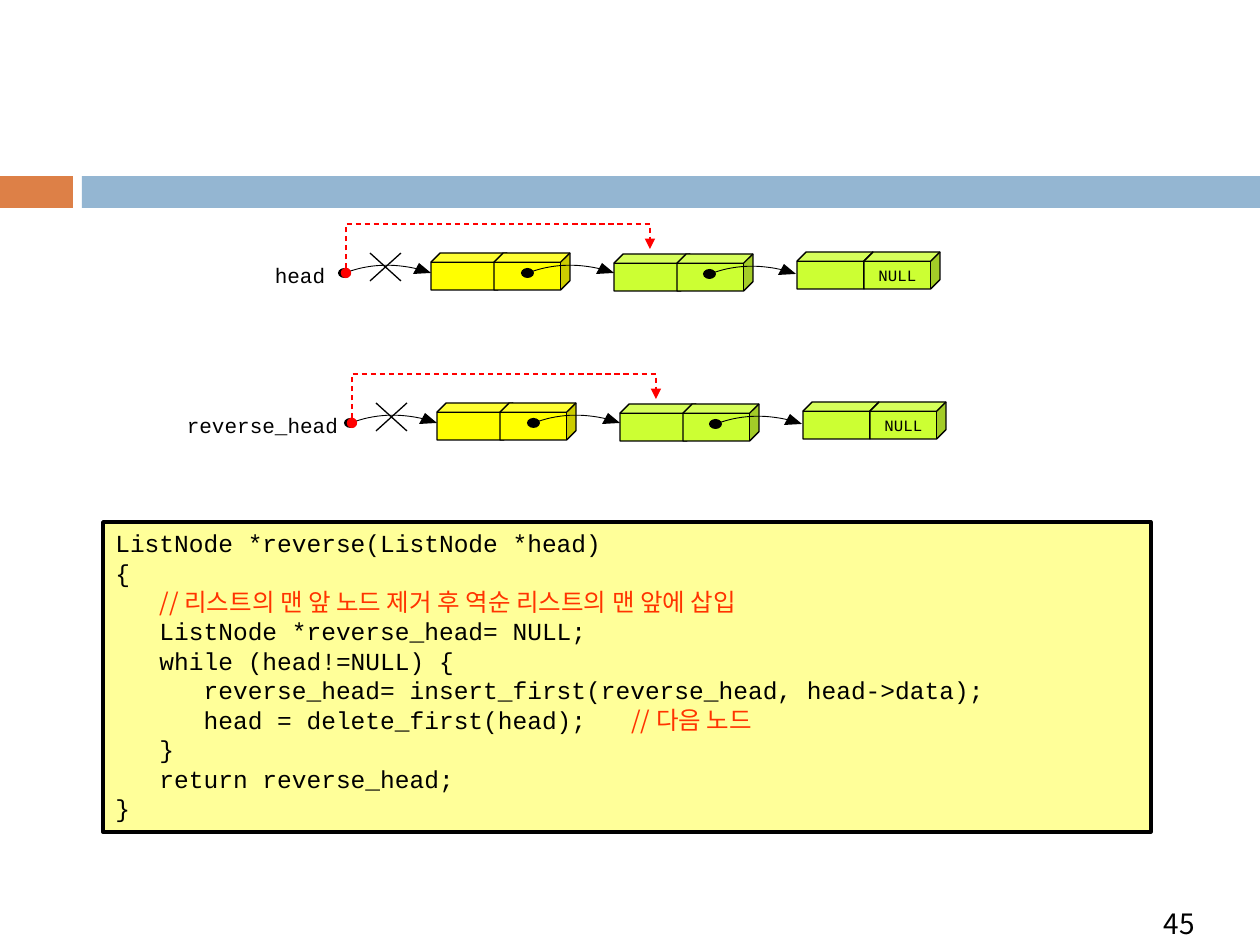
from dataclasses import dataclass

from lxml import etree
from pptx import Presentation
from pptx.dml.color import RGBColor
from pptx.enum.dml import MSO_LINE
from pptx.enum.shapes import MSO_CONNECTOR, MSO_SHAPE
from pptx.enum.text import MSO_ANCHOR, PP_ALIGN
from pptx.oxml.ns import qn
from pptx.util import Emu, Pt

RECT, CUBE, OVAL = MSO_SHAPE.RECTANGLE, MSO_SHAPE.CUBE, MSO_SHAPE.OVAL
STRAIGHT, DASH = MSO_CONNECTOR.STRAIGHT, MSO_LINE.DASH
TOP, MIDDLE = MSO_ANCHOR.TOP, MSO_ANCHOR.MIDDLE
LEFT, CENTER, RIGHT = PP_ALIGN.LEFT, PP_ALIGN.CENTER, PP_ALIGN.RIGHT

PX = 914400 / 126
MONO, SANS = "Courier New", "Noto Sans CJK KR"
COLORS = {
    "black": "000000", "orange": "DD8047", "blue": "94B6D2", "cream": "FFFF99",
    "yellow": "FFFF00", "green": "CCFF33", "red": "FF0000", "comment": "FF3300",
}


@dataclass(frozen=True)
class Node:
    x: int
    y: int
    gap: int  # distance between its data cube and its link cube
    color: str
    text: str = ""


@dataclass(frozen=True)
class LinkedList:
    label: str
    label_x: int
    label_w: int
    dx: int
    dy: int


@dataclass(frozen=True)
class Run:
    text: str
    size: int
    font: str = MONO
    color: str = "black"


NODES = [
    Node(431, 253, 63, "yellow"),
    Node(614, 254, 63, "green"),
    Node(797, 252, 67, "green", "NULL"),
]
HEAD_LINK = (345, 273)
NODE_LINKS = [(528, 273), (710, 274)]
REDIRECT = [(346, 273), (346, 224), (650, 224), (650, 249)]
LISTS = [
    LinkedList("head ", 252, 118, 0, 0),
    LinkedList("reverse_head ", 171, 205, 6, 150),
]
CODE = """ListNode *reverse(ListNode *head)
{
   // 리스트의 맨 앞 노드 제거 후 역순 리스트의 맨 앞에 삽입
   ListNode *reverse_head= NULL;
   while (head!=NULL) {
      reverse_head= insert_first(reverse_head, head->data);
      head = delete_first(head);   // 다음 노드
   }
   return reverse_head;
}"""


def px(v: float) -> Emu:
    return Emu(round(v * PX))


def rgb(name: str) -> RGBColor:
    return RGBColor.from_string(COLORS[name])


def paint(sp, fill: str = "", line: str = "", width: float = 0.75) -> None:
    sp.shadow.inherit = False
    if fill:
        sp.fill.solid()
        sp.fill.fore_color.rgb = rgb(fill)
    else:
        sp.fill.background()
    if line:
        sp.line.color.rgb = rgb(line)
        sp.line.width = Pt(width)
    else:
        sp.line.fill.background()


def add_shape(shapes, kind, x: int, y: int, w: int, h: int, **look):
    sp = shapes.add_shape(kind, px(x), px(y), px(w), px(h))
    paint(sp, **look)
    return sp


def add_path(shapes, points: list, close: bool = False, **look):
    (x, y), *rest = [(px(a), px(b)) for a, b in points]
    builder = shapes.build_freeform(x, y)
    builder.add_line_segments(rest, close=close)
    sp = builder.convert_to_shape()
    paint(sp, **look)
    return sp


def write(sp, lines: list[list[Run]], align, anchor=MIDDLE, wrap=False, spacing=None) -> None:
    tf = sp.text_frame
    for name, value in {"word_wrap": wrap, "vertical_anchor": anchor}.items():
        setattr(tf, name, value)
    for i, runs in enumerate(lines):
        p = tf.add_paragraph() if i else tf.paragraphs[0]
        for name, value in {"alignment": align, "line_spacing": spacing}.items():
            setattr(p, name, value)
        for run in runs:
            r = p.add_run()
            r.text = run.text
            for name, value in {"size": Pt(run.size), "name": run.font}.items():
                setattr(r.font, name, value)
            r.font.color.rgb = rgb(run.color)
            etree.SubElement(r.font._element, qn("a:ea"), typeface=run.font)


def add_link(shapes, x: int, y: int) -> None:
    """Curved pointer with a dot at its start and an arrowhead at its end."""
    curve = [(0, 0), (23, -9), (48, -10), (73, -4)]
    points = []
    for i in range(17):
        t = i / 16
        weights = ((1 - t) ** 3, 3 * t * (1 - t) ** 2, 3 * t * t * (1 - t), t ** 3)
        points.append((x + sum(w * c[0] for w, c in zip(weights, curve)),
                       y + sum(w * c[1] for w, c in zip(weights, curve))))
    add_path(shapes, points, line="black", width=0.5)
    add_shape(shapes, OVAL, x - 7, y - 5, 13, 10, fill="black")
    tip = [(x + 74, y - 10), (x + 86, y), (x + 68, y + 1)]
    add_path(shapes, tip, close=True, fill="black")


def add_node(shapes, node: Node, dx: int, dy: int) -> None:
    for offset in (0, node.gap):
        sp = add_shape(shapes, CUBE, node.x + dx + offset, node.y + dy, 76, 37,
                       fill=node.color, line="black")
    if node.text:
        write(sp, [[Run(node.text, 9)]], CENTER)


def add_cross(shapes, x: int, y: int, w: int, h: int) -> None:
    for x1, x2 in ((x + w, x), (x, x + w)):
        line = shapes.add_connector(STRAIGHT, px(x1), px(y), px(x2), px(y + h))
        line.line.color.rgb = rgb("black")
        line.line.width = Pt(0.75)
        etree.SubElement(line._element.spPr, qn("a:effectLst"))


def add_list(shapes, lst: LinkedList) -> None:
    dx, dy = lst.dx, lst.dy
    label = add_shape(shapes, CUBE, lst.label_x, 251 + dy, lst.label_w, 38)
    write(label, [[Run(lst.label, 12)]], CENTER)
    for node in NODES:
        add_node(shapes, node, dx, dy)
    for x, y in [*NODE_LINKS, HEAD_LINK]:
        add_link(shapes, x + dx, y + dy)
    add_cross(shapes, 370 + dx, 253 + dy, 31, 28)
    # New pointer that skips the first node
    sp = add_path(shapes, [(x + dx, y + dy) for x, y in REDIRECT], line="red")
    sp.line.dash_style = DASH
    for tag, kind in (("a:headEnd", "oval"), ("a:tailEnd", "triangle")):
        etree.SubElement(sp.line._ln, qn(tag), type=kind)


def code_runs(line: str) -> list[Run]:
    code, mark, comment = line.partition("//")
    runs = [Run(code, 14)]
    if mark:
        runs.append(Run(mark + comment, 14, SANS, "comment"))
    return runs


def main() -> None:
    prs = Presentation()
    prs.slide_width, prs.slide_height = px(1260), px(945)
    shapes = prs.slides.add_slide(prs.slide_layouts[6]).shapes

    # Header bands
    add_shape(shapes, RECT, 0, 176, 73, 32, fill="orange")
    add_shape(shapes, RECT, 82, 176, 1178, 32, fill="blue")

    # Page number
    page = shapes.add_textbox(px(1101), px(900), px(106), px(47))
    write(page, [[Run("45", 16, SANS)]], RIGHT, TOP, wrap=True)

    # Code listing
    box = add_shape(shapes, RECT, 103, 522, 1048, 310, fill="cream", line="black", width=2)
    lines = [code_runs(line) for line in CODE.splitlines()]
    write(box, lines, LEFT, TOP, wrap=True, spacing=Pt(16.8))

    # Linked lists
    for lst in LISTS:
        add_list(shapes, lst)

    prs.save("out.pptx")


if __name__ == "__main__":
    main()
